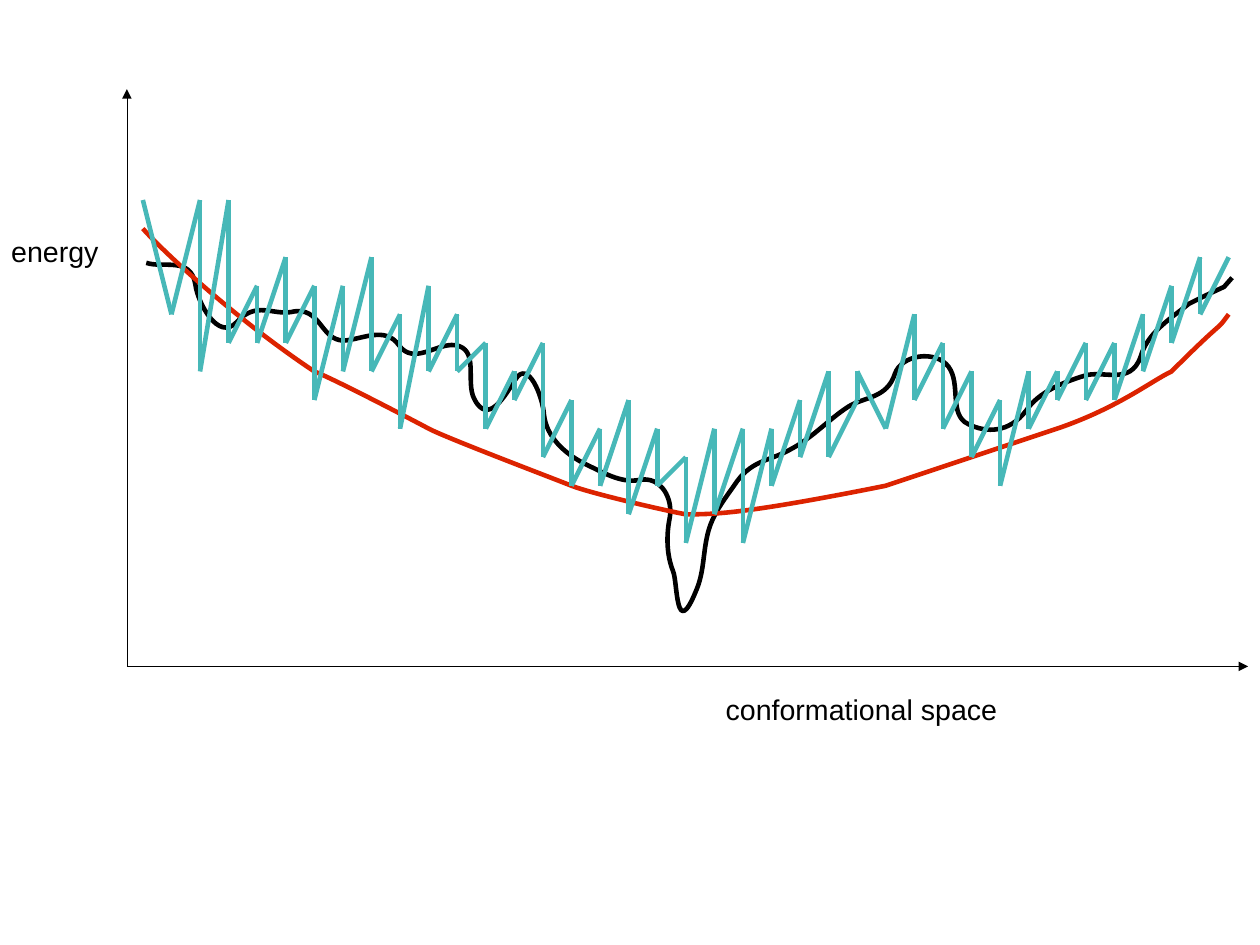
from dataclasses import dataclass
from itertools import chain, pairwise

from pptx import Presentation
from pptx.dml.color import RGBColor
from pptx.enum.shapes import MSO_CONNECTOR
from pptx.enum.text import MSO_AUTO_SIZE
from pptx.oxml.ns import qn
from pptx.oxml.xmlchemy import OxmlElement
from pptx.shapes.connector import Connector
from pptx.slide import Slide
from pptx.util import Cm, Inches, Pt

Point = tuple[float, float]

BLACK = RGBColor(0x00, 0x00, 0x00)
RED = RGBColor(0xDC, 0x23, 0x00)
TEAL = RGBColor(0x47, 0xB8, 0xB8)
CURVE_WIDTH = 2.89
ORIGIN = (4.44, 23.32)
AXIS_ENDS = [(43.68, 23.32), (4.44, 3.12)]
FIRST_SPIKE_COLUMN = 5


@dataclass(frozen=True)
class Curve:
    color: RGBColor
    start: Point
    bends: list[tuple[Point, Point, Point]]
    straights: list[Point]


@dataclass(frozen=True)
class Label:
    text: str
    column: float
    row: float
    columns: float
    rows: float = 1.52


CURVES = [
    Curve(BLACK, (5.12, 9.2), [
        ((5.72, 9.4), (6.68, 8.96), (6.84, 9.96)),
        ((6.92, 10.6), (7.64, 11.96), (8.28, 11.28)),
        ((8.96, 10.52), (9.56, 11.04), (10.2, 10.92)),
        ((11.24, 10.68), (11.2, 11.92), (12.04, 11.92)),
        ((12.68, 11.88), (13.48, 11.4), (13.96, 12.08)),
        ((14.48, 12.8), (15.28, 12), (15.92, 12.08)),
        ((16.8, 12.2), (16.28, 13.36), (16.6, 13.96)),
        ((17.08, 14.92), (17.68, 13.84), (18.04, 13.28)),
        ((18.48, 12.56), (19, 13.88), (19.04, 14.52)),
        ((19.12, 15.28), (19.76, 15.88), (20.48, 16.24)),
        ((21.08, 16.52), (21.72, 16.92), (22.36, 16.8)),
        ((23.16, 16.64), (23.56, 17.48), (23.44, 18.12)),
        ((23.32, 18.72), (23.32, 19.4), (23.56, 20)),
        ((23.72, 20.4), (23.64, 22.44), (24.36, 20.68)),
        ((24.64, 20.04), (24.6, 19.4), (24.76, 18.72)),
        ((24.92, 18), (25.36, 17.48), (25.8, 16.84)),
        ((26.36, 16.08), (27, 16.12), (27.68, 15.72)),
        ((28.44, 15.32), (29, 14.68), (29.68, 14.24)),
        ((30.24, 13.88), (31.04, 13.96), (31.32, 13.08)),
        ((31.56, 12.4), (32.76, 12.24), (33.2, 12.84)),
        ((33.64, 13.44), (33.2, 14.52), (33.88, 14.84)),
        ((34.52, 15.16), (35.32, 15.16), (35.92, 14.36)),
        ((36.36, 13.72), (37.16, 13.4), (37.92, 13.16)),
        ((38.6, 12.92), (39.56, 13.52), (39.92, 12.48)),
        ((40.16, 11.64), (40.96, 11.16), (41.6, 10.64)),
    ], [(42.24, 10.32), (42.84, 10.04), (43.12, 9.72)]),
    Curve(RED, (5, 8), [
        ((5.48, 8.56), (8, 11), (11, 13)),
        ((11.64, 13.24), (14.4, 14.68), (15, 15)),
        ((15.6, 15.32), (19.4, 16.76), (20, 17)),
        ((20.72, 17.28), (23.32, 17.88), (24, 18)),
        ((25, 18), (26, 18), (31, 17)),
        ((31, 17), (34, 16), (37, 15)),
        ((39.12, 14.28), (40.32, 13.32), (41, 13)),
        ((43, 11), (42.5, 11.68), (43, 11)),
    ], []),
]

SPIKE_ROWS = [
    (7, 7), (11, 11), (7, 13), (7, 12), (10, 12), (9, 12), (10, 14), (10, 13),
    (9, 13), (11, 15), (10, 13), (11, 13), (12, 15), (13, 14), (12, 16), (14, 17),
    (15, 17), (14, 18), (15, 17), (16, 19), (15, 18), (15, 19), (15, 17), (14, 16),
    (13, 16), (14, 13), (15, 15), (11, 14), (12, 15), (13, 16), (14, 17), (13, 15),
    (13, 14), (12, 14), (12, 14), (11, 13), (10, 12), (9, 11), (9, 9),
]

LABELS = [
    Label("energy", 0, 8, 4),
    Label("conformational space", 25, 24, 11),
]


def grid(units: float) -> int:
    return Inches(units / 4)


def draw_line(slide: Slide, start: Point, end: Point, color: RGBColor) -> Connector:
    connector = slide.shapes.add_connector(MSO_CONNECTOR.STRAIGHT, *map(grid, start + end))
    connector.line.color.rgb = color
    connector.line.width = Pt(CURVE_WIDTH)
    connector._element.spPr.append(OxmlElement("a:effectLst"))
    return connector


def draw_axis(slide: Slide, end: Point) -> None:
    outline = draw_line(slide, ORIGIN, end, BLACK).line._get_or_add_ln()
    outline.set("w", "0")
    arrowhead = OxmlElement("a:tailEnd")
    arrowhead.set("type", "triangle")
    outline.append(arrowhead)


def draw_curve(slide: Slide, curve: Curve) -> None:
    points = [*chain.from_iterable(curve.bends), *curve.straights]
    builder = slide.shapes.build_freeform(*map(grid, curve.start))
    builder.add_line_segments([(grid(x), grid(y)) for x, y in points], close=False)
    shape = builder.convert_to_shape()
    shape.shadow.inherit = False
    shape.fill.background()
    shape.line.color.rgb = curve.color
    shape.line.width = Pt(CURVE_WIDTH)
    segments = shape._element.xpath(".//a:lnTo")
    for index in range(0, 3 * len(curve.bends), 3):
        bend = OxmlElement("a:cubicBezTo")
        segments[index].addprevious(bend)
        for segment in segments[index:index + 3]:
            bend.append(segment.find(qn("a:pt")))
            segment.getparent().remove(segment)


def draw_spikes(slide: Slide) -> None:
    corners = [
        (column, row)
        for column, rows in enumerate(SPIKE_ROWS, FIRST_SPIKE_COLUMN)
        for row in rows
    ]
    for start, end in pairwise(corners):
        if start != end:
            draw_line(slide, start, end, TEAL)


def draw_label(slide: Slide, label: Label) -> None:
    box = slide.shapes.add_textbox(
        grid(label.column), grid(label.row), grid(label.columns), grid(label.rows)
    )
    box.text_frame.word_wrap = True
    box.text_frame.auto_size = MSO_AUTO_SIZE.SHAPE_TO_FIT_TEXT
    run = box.text_frame.paragraphs[0].add_run()
    run.text = label.text
    run.font.name = "Arial"
    run.font.size = Pt(18)
    run.font.color.rgb = BLACK


def main() -> None:
    presentation = Presentation()
    presentation.slide_width = Cm(28)
    presentation.slide_height = Cm(21)
    slide = presentation.slides.add_slide(presentation.slide_layouts[6])
    for end in AXIS_ENDS:
        draw_axis(slide, end)
    for curve in CURVES:
        draw_curve(slide, curve)
    draw_spikes(slide)
    for label in LABELS:
        draw_label(slide, label)
    presentation.save("out.pptx")


if __name__ == "__main__":
    main()
